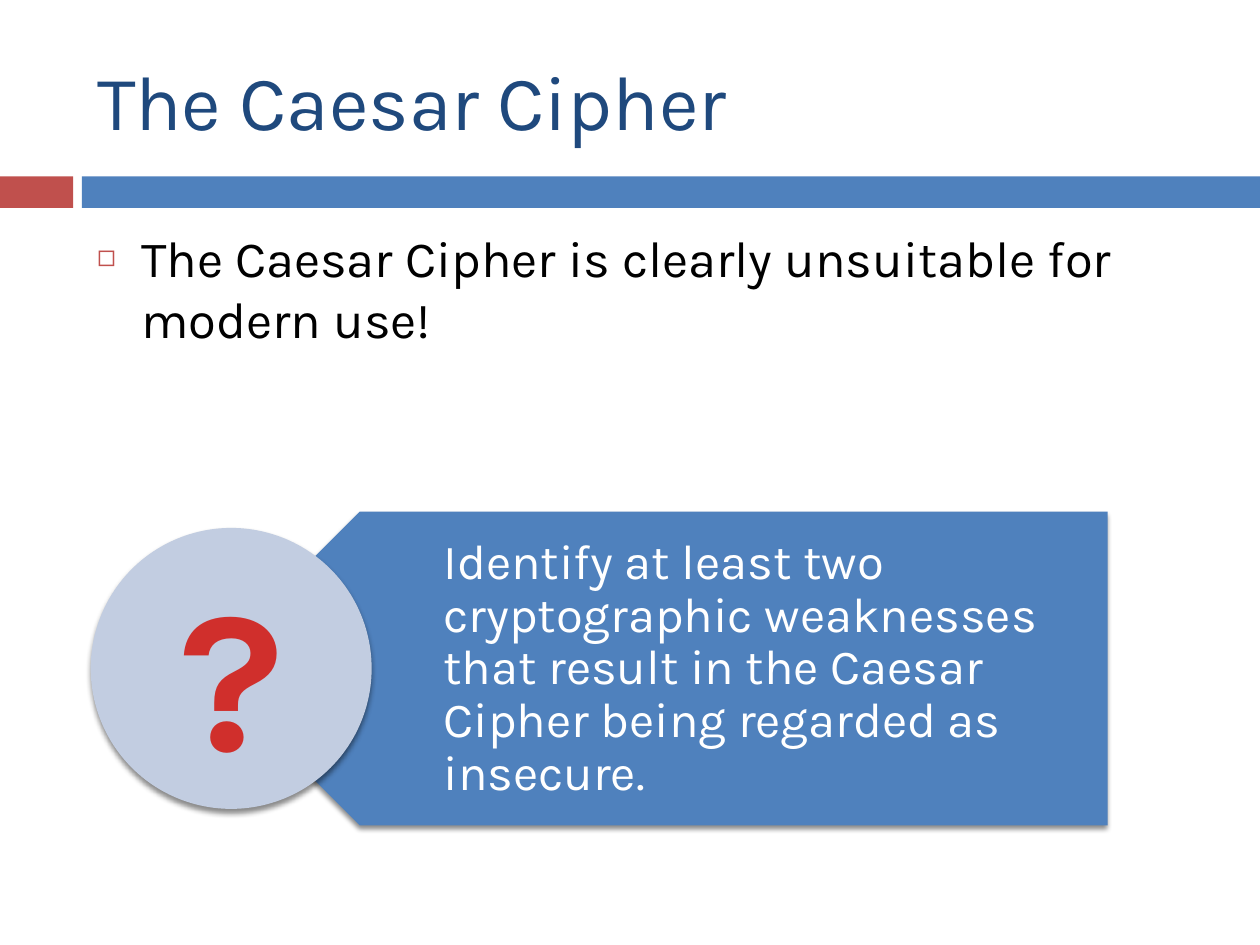
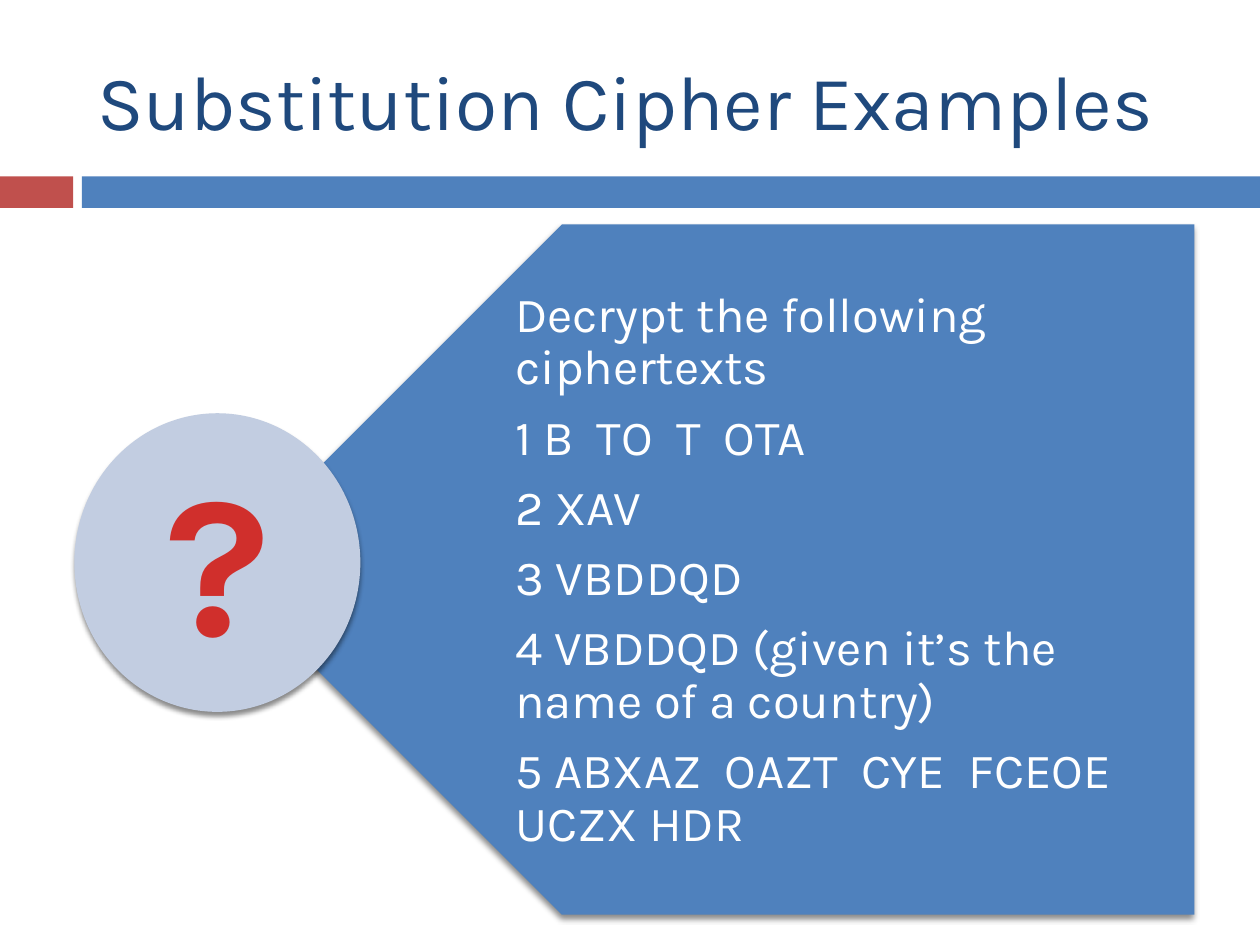
"""Builds two cipher question slides with a shared title band and question callouts."""
from dataclasses import dataclass

from lxml import etree
from pptx import Presentation
from pptx import util as u
from pptx.dml.color import RGBColor
from pptx.enum import shapes, text
from pptx.oxml.ns import qn


@dataclass(frozen=True)
class Theme:
    font: str = "Karla"
    heading: str = "1F497D"
    ink: str = "000000"
    paper: str = "FFFFFF"
    accent: str = "C0504D"
    panel: str = "4F81BD"
    disc: str = "C2CDE1"
    mark: str = "D02F2C"
    title_size: int = 44
    body_size: int = 29
    panel_size: int = 28
    mark_size: int = 115


THEME = Theme()
COLUMNS, ROWS = 10, 7.5
CELL = u.Inches(1)
MARGIN, CONTENT_WIDTH = 0.67, 8.92
BAND_TOP, BAND_HEIGHT, BAND_START, BAND_GAP = 1.4, 0.25, 0.58, 0.07
MARK_DROP, MARK_WIDTH, MARK_HEIGHT = 0.12, 1.02, 2.04

SLIDES = [
    {
        "title": "The Caesar Cipher",
        "points": ["The Caesar Cipher is clearly unsuitable for modern use!"],
        "task": ["Identify at least two cryptographic weaknesses that result in "
                 "the Caesar Cipher being regarded as insecure."],
        "panel": (1.61, 4.06, 7.18, 2.49),
        "task_area": (2.54, 3.75, 6.47, 3.12),
        "disc": (0.72, 4.19, 2.23, 2.23),
    },
    {
        "title": "Substitution Cipher Examples",
        "points": [],
        "task": ["Decrypt the following ciphertexts",
                 "1 B  TO  T  OTA",
                 "2 XAV",
                 "3 VBDDQD",
                 "4 VBDDQD (given it’s the name of a country)",
                 "5 ABXAZ  OAZT  CYE  FCEOE  UCZX HDR"],
        "panel": (1.72, 1.78, 7.76, 5.48),
        "task_area": (3.11, 2.33, 6.3, 4.4),
        "disc": (0.59, 3.28, 2.27, 2.37),
    },
]


def grid(*cells):
    """Converts grid cells to slide lengths."""
    return [round(cell * CELL) for cell in cells]


def write(holder, lines, *, size, color, bold=False, align=text.PP_ALIGN.LEFT,
          anchor=text.MSO_ANCHOR.TOP, wrap=True, grow=False, insets=None,
          spacing=None, before=0, after=0, bullet=None):
    """Writes one paragraph per line with the given format."""
    frame = holder.text_frame
    frame.word_wrap = wrap
    frame.vertical_anchor = anchor
    frame.auto_size = (text.MSO_AUTO_SIZE.SHAPE_TO_FIT_TEXT if grow
                       else text.MSO_AUTO_SIZE.NONE)
    if insets:
        (frame.margin_left, frame.margin_top,
         frame.margin_right, frame.margin_bottom) = grid(*insets)
    for index, line in enumerate(lines):
        paragraph = frame.paragraphs[0] if index == 0 else frame.add_paragraph()
        paragraph.alignment = align
        paragraph.line_spacing = spacing
        paragraph.space_before, paragraph.space_after = u.Pt(before), u.Pt(after)
        run = paragraph.add_run()
        run.text = line
        run.font.name, run.font.size, run.font.bold = THEME.font, u.Pt(size), bold
        run.font.color.rgb = RGBColor.from_string(color)
        if bullet:
            add_bullet(paragraph, bullet)


def add_bullet(paragraph, sign):
    """Gives a paragraph a small accent bullet and a hanging indent."""
    props = paragraph._p.get_or_add_pPr()
    (indent,) = grid(0.35)
    props.set("marL", str(indent))
    props.set("indent", str(-indent))
    tint = etree.SubElement(props, qn("a:buClr"))
    etree.SubElement(tint, qn("a:srgbClr"), val=THEME.accent)
    etree.SubElement(props, qn("a:buSzPct"), val="60000")
    etree.SubElement(props, qn("a:buChar"), char=sign)


def add_figure(parent, kind, area, color, shadow=False):
    """Adds a filled shape without outline, with an optional soft shadow."""
    figure = parent.add_shape(kind, *grid(*area))
    figure.fill.solid()
    figure.fill.fore_color.rgb = RGBColor.from_string(color)
    figure.line.fill.background()
    figure.shadow.inherit = False
    if shadow:
        effects = figure.element.spPr.find(qn("a:effectLst"))
        outer = etree.SubElement(
            effects, qn("a:outerShdw"), blurRad=str(u.Pt(3)), dist=str(u.Pt(2.4)),
            dir="5400000", algn="ctr", rotWithShape="0")
        shade = etree.SubElement(outer, qn("a:srgbClr"), val=THEME.ink)
        etree.SubElement(shade, qn("a:alpha"), val="45000")
    return figure


def add_master_bands(deck, slide):
    """Draws the two title bands and moves them to the slide master."""
    long_start = BAND_START + BAND_GAP
    for left, width, color in ((0, BAND_START, THEME.accent),
                               (long_start, COLUMNS - long_start, THEME.panel)):
        band = add_figure(slide.shapes, shapes.MSO_SHAPE.RECTANGLE,
                          (left, BAND_TOP, width, BAND_HEIGHT), color)
        deck.slide_master.element.cSld.spTree.append(band.element)


def place(holder, area):
    """Moves a placeholder to an area of the grid."""
    holder.left, holder.top, holder.width, holder.height = grid(*area)


def add_question(slide, content):
    """Adds the arrow panel with its task and the question mark disc."""
    callout = slide.shapes.add_group_shape().shapes
    panel = add_figure(callout, shapes.MSO_SHAPE.PENTAGON, content["panel"],
                       THEME.panel, shadow=True)
    panel.rotation = 180
    write(callout.add_textbox(*grid(*content["task_area"])), content["task"],
          size=THEME.panel_size, color=THEME.paper, anchor=text.MSO_ANCHOR.MIDDLE,
          insets=(0.98, 0.09, 0.16, 0.09), spacing=0.9, after=9.8)
    left, top, width, _ = content["disc"]
    add_figure(callout, shapes.MSO_SHAPE.OVAL, content["disc"], THEME.disc, shadow=True)
    mark_area = (left + (width - MARK_WIDTH) / 2, top + MARK_DROP,
                 MARK_WIDTH, MARK_HEIGHT)
    write(callout.add_textbox(*grid(*mark_area)), ["?"], size=THEME.mark_size,
          color=THEME.mark, bold=True, align=text.PP_ALIGN.CENTER,
          wrap=False, grow=True)


def add_slide(deck, content):
    """Adds one slide with title, points and question."""
    layout = "Title and Content" if content["points"] else "Title Only"
    slide = deck.slides.add_slide(deck.slide_layouts.get_by_name(layout))
    heading = slide.shapes.title
    place(heading, (MARGIN, 0.25, CONTENT_WIDTH, 1.08))
    write(heading, [content["title"]], size=THEME.title_size, color=THEME.heading,
          anchor=text.MSO_ANCHOR.MIDDLE)
    if content["points"]:
        points = slide.placeholders[1]
        place(points, (MARGIN, 1.75, CONTENT_WIDTH, 1.53))
        write(points, content["points"], size=THEME.body_size, color=THEME.ink,
              before=7, bullet="◻")
    add_question(slide, content)
    return slide


def main():
    """Builds and saves the deck."""
    deck = Presentation()
    deck.slide_width, deck.slide_height = grid(COLUMNS, ROWS)
    built = [add_slide(deck, content) for content in SLIDES]
    add_master_bands(deck, built[0])
    deck.save("out.pptx")


if __name__ == "__main__":
    main()
